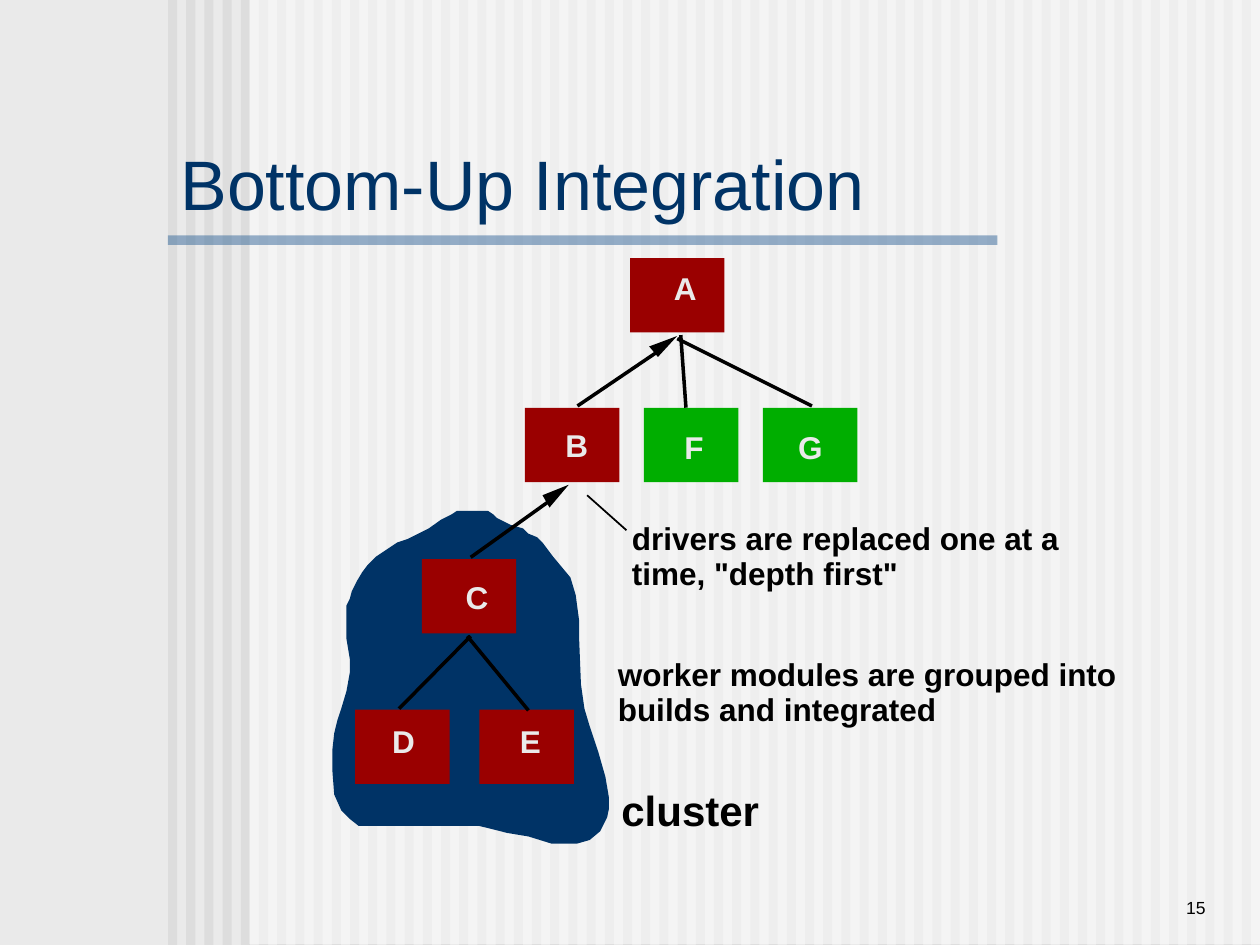
from dataclasses import dataclass

from lxml.etree import SubElement
from pptx import Presentation
from pptx.dml.color import RGBColor
from pptx.enum.shapes import MSO_CONNECTOR, MSO_SHAPE
from pptx.enum.text import MSO_ANCHOR, PP_ALIGN
from pptx.oxml.ns import qn
from pptx.util import Pt


@dataclass(frozen=True)
class Theme:
    font: str = "Arial"
    paper: str = "EAEAEA"
    stripe: str = "DDDDDD"
    veil: str = "FFFFFF"
    rule: str = "336699"
    navy: str = "003366"
    red: str = "9A0000"
    green: str = "00AE00"
    ink: str = "000000"
    title_size: int = 40
    cluster_size: int = 24
    body_size: int = 18
    number_size: int = 10


theme = Theme()


def paint(shape, color, opacity=100):
    """Give a shape a flat fill without outline or shadow."""
    shape.shadow.inherit = False
    shape.line.fill.background()
    shape.fill.solid()
    shape.fill.fore_color.rgb = RGBColor.from_string(color)
    if opacity < 100:
        srgb = shape.fill._xPr.find(qn("a:solidFill"))[0]
        SubElement(srgb, qn("a:alpha"), val=str(opacity * 1000))


def add_text(text, left, top, width, height, size, color, bold=True, wrap=False,
             anchor=MSO_ANCHOR.TOP, align=PP_ALIGN.LEFT):
    box = slide.shapes.add_textbox(Pt(left), Pt(top), Pt(width), Pt(height))
    frame = box.text_frame
    paragraph = frame.paragraphs[0]
    paragraph.text = text
    paragraph.alignment = align
    font = paragraph.runs[0].font
    font.color.rgb = RGBColor.from_string(color)
    formats = {
        frame: {"word_wrap": wrap, "vertical_anchor": anchor},
        font: {"name": theme.font, "size": Pt(size), "bold": bold},
    }
    for target, values in formats.items():
        for name, value in values.items():
            setattr(target, name, value)


deck = Presentation()
deck.slide_width, deck.slide_height = Pt(720), Pt(540)
slide = deck.slides.add_slide(deck.slide_layouts[6])
slide.background.fill.solid()
slide.background.fill.fore_color.rgb = RGBColor.from_string(theme.paper)

# Striped backdrop, the veil over it and the rule below the title
backdrop = [(96 + 10.4 * i, 0, 5.2, 540, theme.stripe, 100) for i in range(60)]
backdrop += [
    (142.5, 0, 577.5, 539.5, theme.veil, 50),
    (96, 134.5, 474, 5.5, theme.rule, 50),
]
for left, top, width, height, color, opacity in backdrop:
    band = slide.shapes.add_shape(MSO_SHAPE.RECTANGLE, Pt(left), Pt(top), Pt(width), Pt(height))
    paint(band, color, opacity)

add_text("Bottom-Up Integration", 96, 84.5, 445, 39.5, theme.title_size, theme.navy,
         bold=False, wrap=True, anchor=MSO_ANCHOR.MIDDLE)

# Cluster outline and the two arrowheads
cluster = [
    (307, 307), (302, 305), (299, 302), (292, 300), (284, 296), (282, 294), (279, 292.5),
    (274, 291.5), (266, 291.5), (261, 292), (258, 294), (252, 297), (245, 302), (233, 308),
    (227, 310), (221, 314), (215, 318), (210, 323), (207, 327), (204, 332), (201, 338),
    (200, 342), (198, 346), (198, 365), (200, 377), (200, 384), (198, 395), (195, 405),
    (193, 411), (191, 419), (189.5, 428), (189.5, 441), (191, 454), (195, 463), (200, 468),
    (205, 472), (212, 472.5), (274, 472.5), (282, 474), (290, 476), (302, 478),
    (315, 481.5), (330.5, 481.5), (337, 479.5), (343, 475), (347, 467), (348, 461.5),
    (348, 456), (346, 443.5), (342, 430), (337, 415), (334, 405), (332, 391), (331, 366),
    (331, 355), (329, 340.5), (325.5, 330.5), (321, 324), (316, 317.5), (310, 310),
]
head_to_a = [(387, 191.5), (376, 204.5), (371, 198)]
head_to_b = [(325, 277), (314, 290), (310, 283)]
for outline, color in [(cluster, theme.navy), (head_to_a, theme.ink), (head_to_b, theme.ink)]:
    builder = slide.shapes.build_freeform(*outline[0], scale=Pt(1))
    builder.add_line_segments(outline[1:], close=True)
    paint(builder.convert_to_shape(), color)

# Modules: name, left, top, colour, label left, label top, label width
modules = [
    ("A", 360, 147.5, theme.red, 378, 150, 27.5),
    ("B", 300, 233, theme.red, 316, 240, 27.5),
    ("C", 241, 319.5, theme.red, 259, 327, 27.5),
    ("D", 203, 405.5, theme.red, 217, 409, 27.5),
    ("E", 274, 405.5, theme.red, 290, 409, 26.5),
    ("F", 368, 233, theme.green, 384, 241, 25),
    ("G", 436, 233, theme.green, 449, 241, 28),
]
for name, left, top, color, *label in modules:
    module = slide.shapes.add_shape(MSO_SHAPE.RECTANGLE, Pt(left), Pt(top), Pt(54), Pt(42.5))
    paint(module, color)
    add_text(name, *label, 29, theme.body_size, theme.paper)

# Links between modules, then the thin pointer to the driver note
links = [
    (375, 201.5, 330, 232, 2),
    (313, 287, 269, 318.5, 2),
    (269, 363.5, 228, 405, 2),
    (267, 363.5, 302, 406, 2),
    (389, 191.5, 392, 233, 2),
    (387, 193.5, 464, 232, 2),
    (335.5, 283, 358, 303, 1),
]
for *ends, weight in links:
    link = slide.shapes.add_connector(MSO_CONNECTOR.STRAIGHT, *map(Pt, ends))
    link.line.width = Pt(weight)
    link.line.color.rgb = RGBColor.from_string(theme.ink)
    SubElement(link._element.spPr, qn("a:effectLst"))

notes = [
    ("drivers are replaced one at a", 354, 293, 263.5, 29, theme.body_size),
    ('time, "depth first"', 354, 313, 166.5, 29, theme.body_size),
    ("worker modules are grouped into", 346, 370.5, 304.5, 29, theme.body_size),
    ("builds and integrated", 346, 391, 196.5, 29, theme.body_size),
    ("cluster", 348, 444.5, 93, 36, theme.cluster_size),
]
for note in notes:
    add_text(*note, theme.ink)

add_text("15", 594, 492, 102, 36, theme.number_size, theme.ink, bold=False, wrap=True,
         anchor=MSO_ANCHOR.BOTTOM, align=PP_ALIGN.RIGHT)

deck.save("out.pptx")
